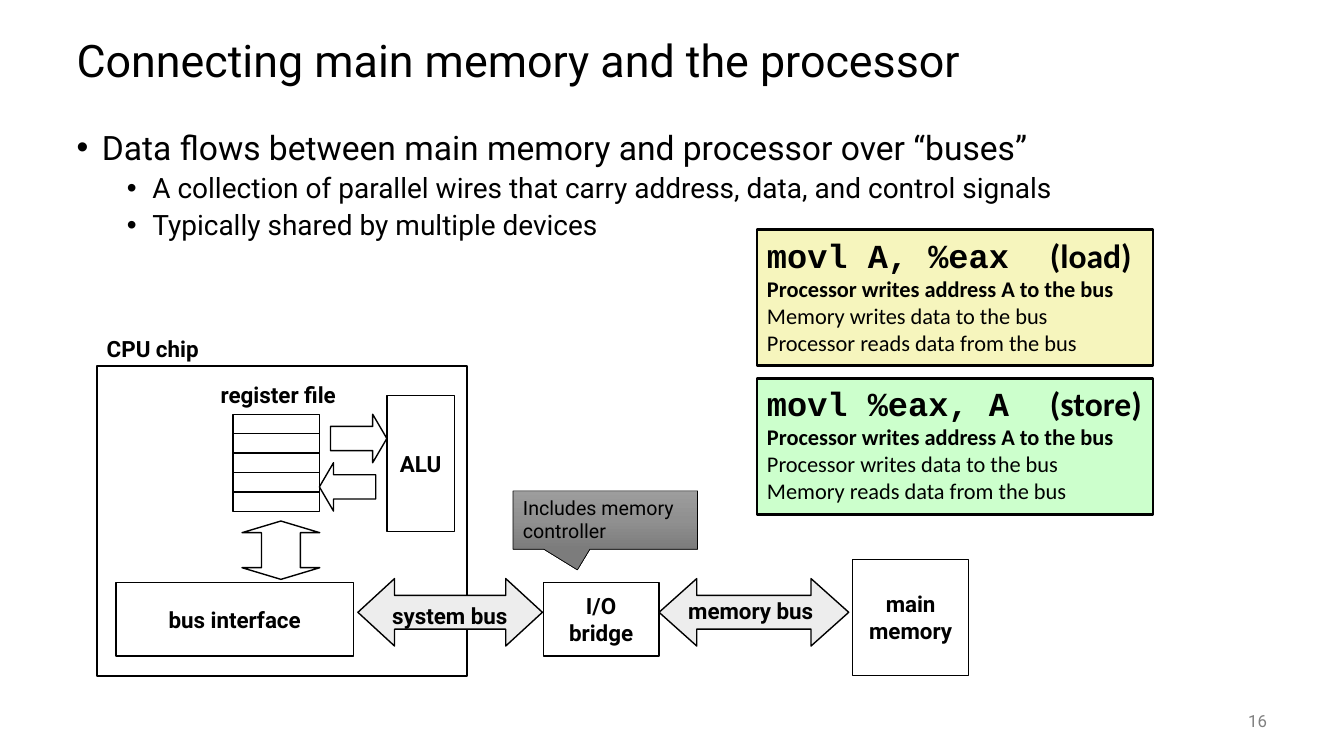
from copy import deepcopy

from lxml.etree import SubElement
from pptx import Presentation
from pptx.dml.color import RGBColor
from pptx.enum.shapes import MSO_SHAPE
from pptx.enum.text import MSO_ANCHOR, PP_ALIGN
from pptx.oxml.ns import qn
from pptx.util import Cm, Pt

BLACK = RGBColor(0x00, 0x00, 0x00)
GRAY = RGBColor(0x80, 0x80, 0x80)
BUS_FILL = RGBColor(0xED, 0xED, 0xED)
LOAD_FILL = RGBColor(0xF6, 0xF5, 0xBD)
STORE_FILL = RGBColor(0xCC, 0xFF, 0xCC)
NOTE_STOPS = [
    (0, RGBColor(0x9D, 0x9D, 0x9D)),
    (0.5, RGBColor(0x90, 0x90, 0x90)),
    (1, RGBColor(0x7C, 0x7C, 0x7C)),
]

TITLE = "Connecting main memory and the processor"
# text, level, size in points, left margin in cm, space before in points
POINTS = [
    ("Data flows between main memory and processor over “buses”", 0, 24, 0.64, 0),
    ("A collection of parallel wires that carry address, data, and control signals", 1, 20, 1.91, 5),
    ("Typically shared by multiple devices", 1, 20, 1.91, 5),
]
BULLET_HANG = 0.64
PAGE_NUMBER = "16"
NOTE = "Includes memory controller"

# All boxes are left, top, width, height in cm
TITLE_BOX = (1.68, 0.64, 30.48, 1.9)
POINTS_BOX = (1.68, 3.18, 30.48, 13.97)
PAGE_NUMBER_BOX = (29.64, 17.65, 2.54, 1.02)
NOTE_BOX = (12.93, 12.37, 4.65, 1.47)
CHIP_BOX = (2.44, 9.22, 9.32, 7.82)
REGISTER_BOX = (5.87, 10.44, 2.18, 0.49)
REGISTER_COUNT = 5

BLOCKS = [
    (["main", "memory"], (21.49, 14.1, 2.92, 2.92)),
    (["I/O", "bridge"], (13.69, 14.68, 2.92, 1.85)),
    (["bus interface"], (2.92, 14.68, 5.99, 1.85)),
    (["ALU"], (9.75, 9.96, 1.7, 3.43)),
]
# preset, box, adjustments, fill
ARROWS = [
    (MSO_SHAPE.RIGHT_ARROW, (8.33, 10.44, 1.42, 1.22), (0.5, 0.292), None),
    (MSO_SHAPE.LEFT_ARROW, (8.05, 11.66, 1.42, 1.22), (0.5, 0.292), None),
    (MSO_SHAPE.UP_DOWN_ARROW, (6.1, 13.13, 1.96, 1.47), (0.5, 0.2), None),
    (MSO_SHAPE.LEFT_RIGHT_ARROW, (16.61, 14.58, 4.78, 1.7), (0.5, 0.559), BUS_FILL),
    (MSO_SHAPE.LEFT_RIGHT_ARROW, (9.02, 14.58, 4.65, 1.7), (0.5, 0.544), BUS_FILL),
]
LABELS = [
    ("CPU chip", (2.34, 8.31, 3.02, 0.94)),
    ("register file", (5.21, 9.47, 3.61, 0.94)),
    ("memory bus", (16.99, 14.91, 3.86, 0.94)),
    ("system bus", (9.53, 15.04, 3.61, 0.94)),
]
# instruction, kind, steps (the first is the current one), fill
INSTRUCTIONS = [
    ("movl A, %eax", "(load)",
     ["Processor writes address A to the bus",
      "Memory writes data to the bus",
      "Processor reads data from the bus"], LOAD_FILL),
    ("movl %eax, A", "(store)",
     ["Processor writes address A to the bus",
      "Processor writes data to the bus",
      "Memory reads data from the bus"], STORE_FILL),
]
INSTRUCTION_BOX = (19.08, 5.79, 9.98, 3.43)
INSTRUCTION_PITCH = 3.74
KIND_TAB = 7.13

LABEL_FONT = {"name": "Roboto", "size": Pt(16), "bold": True}
CENTERED = {"alignment": PP_ALIGN.CENTER}
TIGHT = {"line_spacing": 0.9}


def apply(target, formats):
    for attribute, value in formats.items():
        setattr(target, attribute, value)


def add_run(paragraph, text, font, color=BLACK):
    run = paragraph.add_run()
    run.text = text
    apply(run.font, font)
    run.font.color.rgb = color


def write(shape, lines, font, layout, anchor=MSO_ANCHOR.MIDDLE, wrap=False, color=BLACK):
    """Fill a shape with one paragraph per line, all in the same format."""
    frame = shape.text_frame
    apply(frame, {"word_wrap": wrap, "vertical_anchor": anchor})
    for index, line in enumerate(lines):
        paragraph = frame.add_paragraph() if index else frame.paragraphs[0]
        apply(paragraph, layout)
        add_run(paragraph, line, font, color)


def add_text(slide, box, *content, **options):
    write(slide.shapes.add_textbox(*map(Cm, box)), *content, **options)


def add_outline(slide, preset, box, weight=1, fill=None, adjustments=()):
    shape = slide.shapes.add_shape(preset, *map(Cm, box))
    shape.shadow.inherit = False
    shape.line.color.rgb = BLACK
    shape.line.width = Pt(weight)
    if fill is None:
        shape.fill.background()
    else:
        shape.fill.solid()
        shape.fill.fore_color.rgb = fill
    for index, value in enumerate(adjustments):
        shape.adjustments[index] = value
    # python-pptx names both guides of the up-down arrow adj1, so number them here
    for number, guide in enumerate(shape._element.spPr.iter(qn("a:gd")), start=1):
        guide.set("name", f"adj{number}")
    return shape


def add_points(slide):
    frame = slide.shapes.add_textbox(*map(Cm, POINTS_BOX)).text_frame
    frame.word_wrap = True
    for index, (text, level, size, margin, before) in enumerate(POINTS):
        paragraph = frame.add_paragraph() if index else frame.paragraphs[0]
        apply(paragraph, {"level": level, "space_before": Pt(before), **TIGHT})
        properties = paragraph._p.get_or_add_pPr()
        properties.set("marL", str(Cm(margin)))
        properties.set("indent", str(-Cm(BULLET_HANG)))
        SubElement(properties, qn("a:buFont"), typeface="Arial")
        SubElement(properties, qn("a:buChar"), char="•")
        add_run(paragraph, text, {"name": "Roboto", "size": Pt(size)})


def add_instruction(slide, box, code, kind, steps, fill):
    shape = add_outline(slide, MSO_SHAPE.RECTANGLE, box, weight=2, fill=fill)
    frame = shape.text_frame
    apply(frame, {"word_wrap": True, "vertical_anchor": MSO_ANCHOR.TOP})
    heading = frame.paragraphs[0]
    heading.alignment = PP_ALIGN.LEFT
    tabs = SubElement(heading._p.get_or_add_pPr(), qn("a:tabLst"))
    SubElement(tabs, qn("a:tab"), pos=str(Cm(KIND_TAB)), algn="l")
    add_run(heading, code, {"name": "Courier New", "size": Pt(24), "bold": True})
    add_run(heading, "\t" + kind, {"name": "Calibri", "size": Pt(24), "bold": True})
    for index, step in enumerate(steps):
        paragraph = frame.add_paragraph()
        paragraph.alignment = PP_ALIGN.LEFT
        add_run(paragraph, step, {"name": "Calibri", "size": Pt(16), "bold": index == 0})


def add_note(slide):
    note = add_outline(slide, MSO_SHAPE.RECTANGULAR_CALLOUT, NOTE_BOX, weight=0.5,
                       adjustments=(-0.151, 0.855))
    note.fill.gradient()
    note.fill.gradient_angle = 270
    stop_list = note._element.spPr.find(".//" + qn("a:gsLst"))
    stop_list.insert(1, deepcopy(stop_list[0]))
    for stop, (position, color) in zip(note.fill.gradient_stops, NOTE_STOPS):
        stop.position = position
        stop.color.rgb = color
    write(note, [NOTE], {"name": "Roboto", "size": Pt(14)},
          {"alignment": PP_ALIGN.LEFT}, anchor=MSO_ANCHOR.TOP, wrap=True)


def main():
    deck = Presentation()
    apply(deck, {"slide_width": Cm(33.87), "slide_height": Cm(19.05)})
    slide = deck.slides.add_slide(deck.slide_layouts[6])

    add_text(slide, TITLE_BOX, [TITLE], {"name": "Roboto", "size": Pt(32)}, TIGHT, wrap=True)
    add_points(slide)

    add_outline(slide, MSO_SHAPE.RECTANGLE, CHIP_BOX, weight=1.5)
    left, top, width, height = REGISTER_BOX
    for row in range(REGISTER_COUNT):
        add_outline(slide, MSO_SHAPE.RECTANGLE, (left, top + row * height, width, height))
    for lines, box in BLOCKS:
        write(add_outline(slide, MSO_SHAPE.RECTANGLE, box), lines, LABEL_FONT, CENTERED)
    for preset, box, adjustments, fill in ARROWS:
        add_outline(slide, preset, box, fill=fill, adjustments=adjustments)
    for label, box in LABELS:
        add_text(slide, box, [label], LABEL_FONT, CENTERED)
    add_note(slide)

    left, top, width, height = INSTRUCTION_BOX
    for index, instruction in enumerate(INSTRUCTIONS):
        box = (left, top + index * INSTRUCTION_PITCH, width, height)
        add_instruction(slide, box, *instruction)

    add_text(slide, PAGE_NUMBER_BOX, [PAGE_NUMBER], {"name": "Roboto", "size": Pt(12)},
             {"alignment": PP_ALIGN.RIGHT}, wrap=True, color=GRAY)
    deck.save("out.pptx")


if __name__ == "__main__":
    main()
